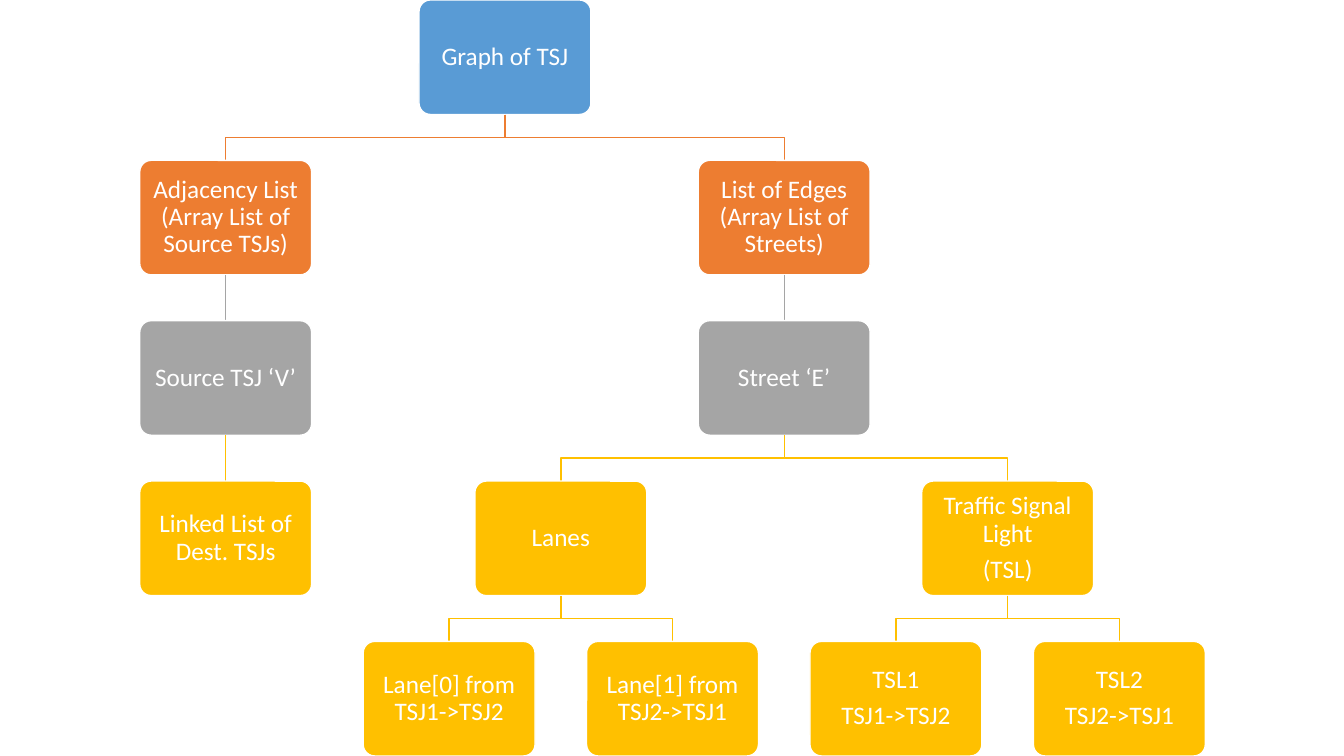
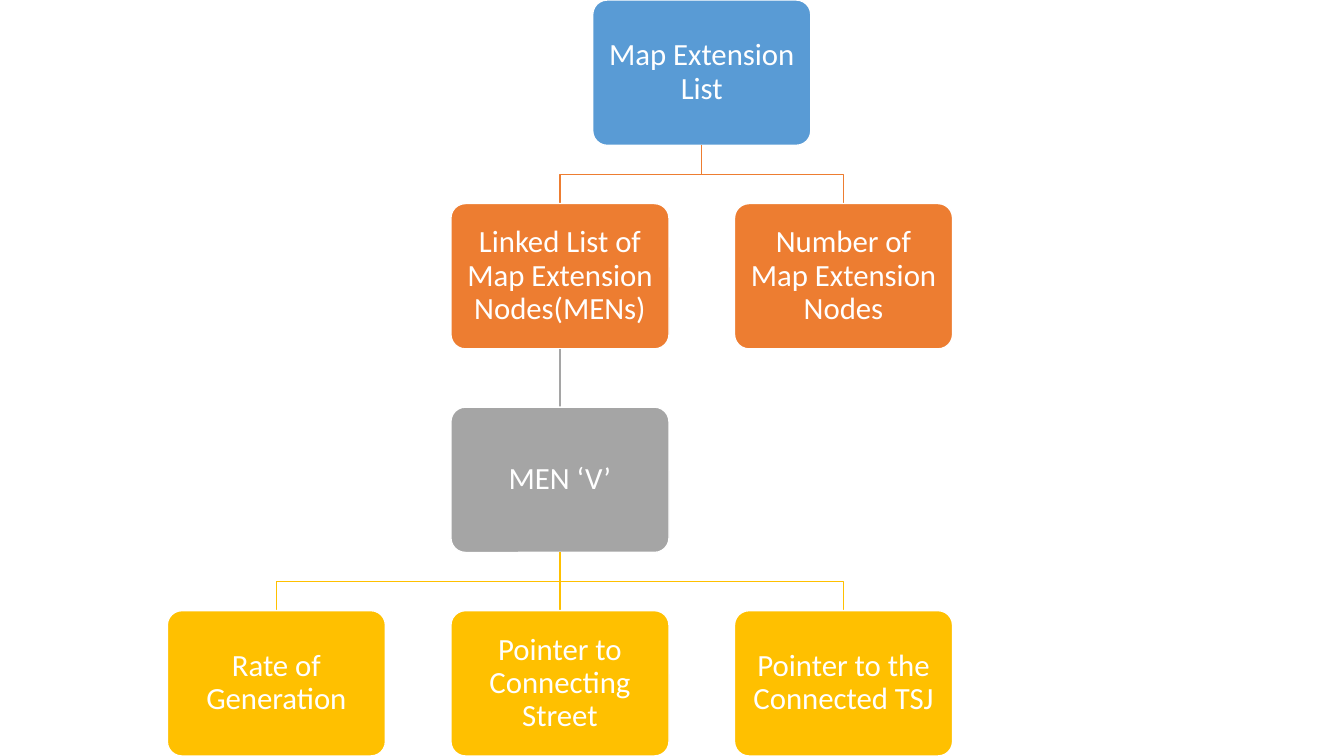
import dataclasses

import lxml.etree
import pptx
import pptx.dml.color
import pptx.enum.shapes
import pptx.enum.text
import pptx.oxml.ns
import pptx.util

COLOURS = {
    "root": "599BD5",
    "branch": "ED7D31",
    "item": "A5A5A5",
    "detail": "FFC000",
    "light": "FFFFFF",
}
LEVEL_COLOURS = ["root", "branch", "item", "detail", "detail"]


@dataclasses.dataclass
class Node:
    text: str
    column: float = 0
    children: tuple = ()

    def centre(self):
        if not self.children:
            return self.column
        return (self.children[0].centre() + self.children[-1].centre()) / 2

    def levels(self):
        return 1 + max((child.levels() for child in self.children), default=0)


def set_attributes(target, values):
    for name, value in values.items():
        setattr(target, name, value)


def colour(name):
    return pptx.dml.color.RGBColor.from_string(COLOURS[name])


class TreeDeck:
    FONT = "Calibri"
    LINE_WIDTH = pptx.util.Pt(1)
    CORNER = 0.1
    ROW_PITCH = 1.4
    COLUMN_PITCH = 1.3
    BOX_RATIO = 1.5

    def __init__(self, presentation):
        self.presentation = presentation
        self.slide = None

    def add_tree(self, root, left_share, font_size):
        layout = self.presentation.slide_layouts[6]
        self.slide = self.presentation.slides.add_slide(layout)
        self.font_size = font_size
        gaps = root.levels() - 1
        self.box_height = self.presentation.slide_height / (1 + gaps * self.ROW_PITCH)
        self.box_width = self.box_height * self.BOX_RATIO
        self.left = self.presentation.slide_width * left_share
        self.branch(root, 0)

    def box_position(self, node, level):
        left = self.left + node.centre() * self.box_width * self.COLUMN_PITCH
        top = level * self.box_height * self.ROW_PITCH
        return round(left), round(top)

    def branch(self, node, level):
        self.box(node, level)
        for child in node.children:
            self.link(node, child, level)
            self.branch(child, level + 1)

    def box(self, node, level):
        left, top = self.box_position(node, level)
        shape = self.slide.shapes.add_shape(
            pptx.enum.shapes.MSO_SHAPE.ROUNDED_RECTANGLE,
            left, top, round(self.box_width), round(self.box_height))
        shape.adjustments[0] = self.CORNER
        shape.shadow.inherit = False
        shape.fill.solid()
        shape.fill.fore_color.rgb = colour(LEVEL_COLOURS[level])
        self.outline(shape, "light")
        self.label(shape.text_frame, node.text)

    def label(self, frame, text):
        inset = pptx.util.Pt(self.font_size * 0.28)
        set_attributes(frame, {
            "text": text,
            "word_wrap": True,
            "vertical_anchor": pptx.enum.text.MSO_ANCHOR.MIDDLE,
            "margin_left": inset,
            "margin_right": inset,
            "margin_top": inset,
            "margin_bottom": inset,
        })
        for paragraph in frame.paragraphs:
            set_attributes(paragraph, {
                "alignment": pptx.enum.text.PP_ALIGN.CENTER,
                "line_spacing": 0.9,
                "space_after": pptx.util.Pt(self.font_size * 0.35),
            })
            for run in paragraph.runs:
                set_attributes(run.font, {
                    "name": self.FONT,
                    "size": pptx.util.Pt(self.font_size),
                })
                run.font.color.rgb = colour("light")

    def link(self, parent, child, level):
        parent_left, parent_top = self.box_position(parent, level)
        child_left, child_top = self.box_position(child, level + 1)
        start_x = round(parent_left + self.box_width / 2)
        end_x = round(child_left + self.box_width / 2)
        start_y = round(parent_top + self.box_height)
        if parent.centre() == child.centre():
            line = self.slide.shapes.add_connector(
                pptx.enum.shapes.MSO_CONNECTOR.STRAIGHT,
                start_x, start_y, end_x, child_top)
            lxml.etree.SubElement(
                line._element.spPr, pptx.oxml.ns.qn("a:effectLst"))
        else:
            middle_y = (start_y + child_top) // 2
            builder = self.slide.shapes.build_freeform(start_x, start_y)
            builder.add_line_segments(
                [(start_x, middle_y), (end_x, middle_y), (end_x, child_top)],
                close=False)
            line = builder.convert_to_shape()
            line.fill.background()
            line.shadow.inherit = False
        self.outline(line, LEVEL_COLOURS[level + 1])

    def outline(self, shape, colour_name):
        shape.line.color.rgb = colour(colour_name)
        shape.line.width = self.LINE_WIDTH


junction_graph = Node("Graph of TSJ", children=(
    Node("Adjacency List (Array List of Source TSJs)", children=(
        Node("Source TSJ ‘V’", children=(
            Node("Linked List of Dest. TSJs", 0),)),)),
    Node("List of Edges (Array List of Streets)", children=(
        Node("Street ‘E’", children=(
            Node("Lanes", children=(
                Node("Lane[0] from TSJ1->TSJ2", 1),
                Node("Lane[1] from TSJ2->TSJ1", 2))),
            Node("Traffic Signal Light\n(TSL)", children=(
                Node("TSL1\nTSJ1->TSJ2", 3),
                Node("TSL2\nTSJ2->TSJ1", 4))))),)),
))

extension_list = Node("Map Extension List", children=(
    Node("Linked List of Map Extension Nodes(MENs)", children=(
        Node("MEN ‘V’", children=(
            Node("Rate of Generation", 0),
            Node("Pointer to Connecting Street", 1),
            Node("Pointer to the Connected TSJ", 2))),)),
    Node("Number of Map Extension Nodes", 2),
))

presentation = pptx.Presentation()
set_attributes(presentation, {
    "slide_width": pptx.util.Inches(13.33),
    "slide_height": pptx.util.Inches(7.5),
})
deck = TreeDeck(presentation)
deck.add_tree(junction_graph, left_share=0.104, font_size=18)
deck.add_tree(extension_list, left_share=0.1245, font_size=22)
presentation.save("out.pptx")
